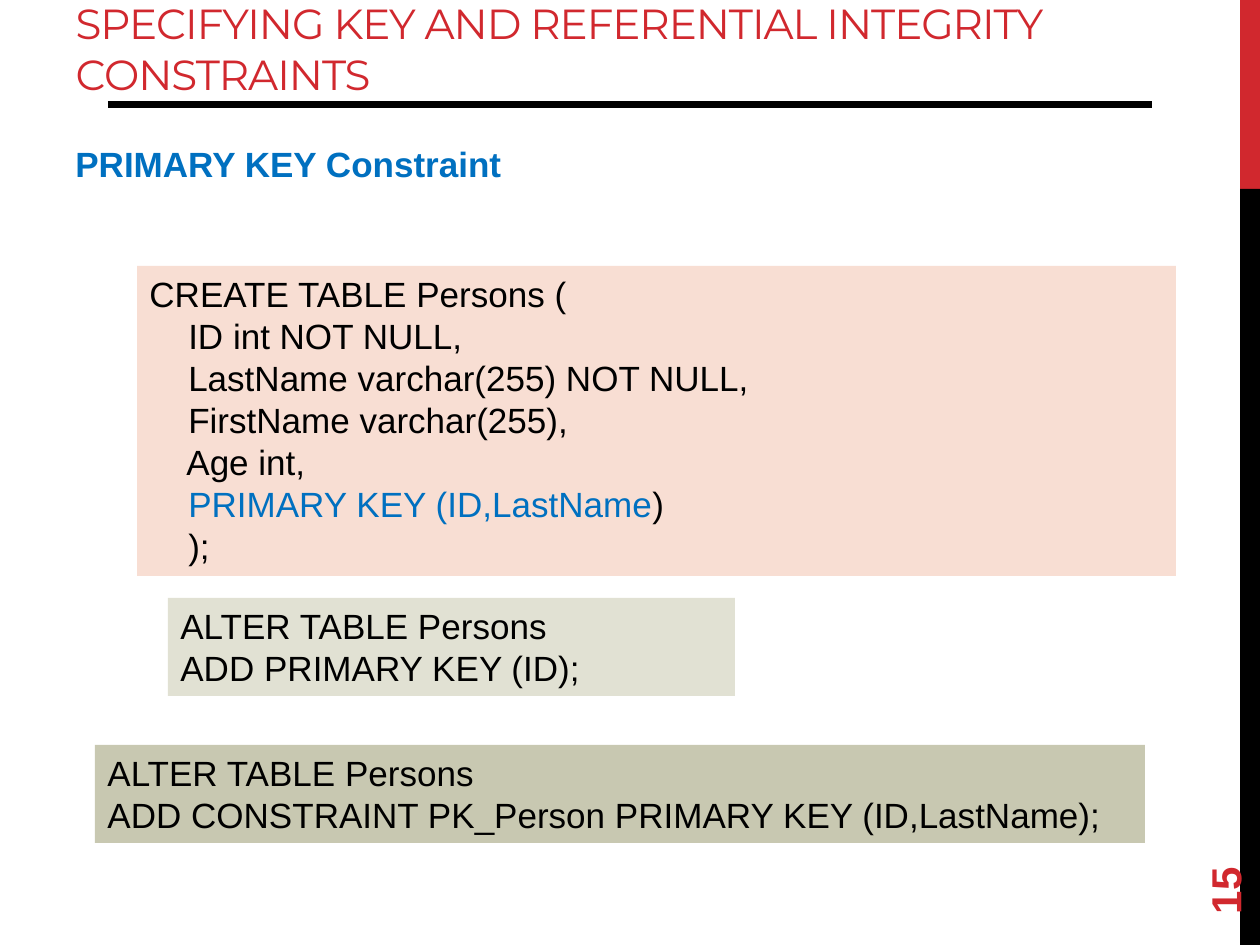
import pptx
import pptx.dml.color
import pptx.enum.shapes
import pptx.enum.text
import pptx.util
from lxml import etree

EMU_PER_PX = 914400 / 126
TITLE_ONLY = 5

COLORS = {
    "red": "D1282E",
    "black": "000000",
    "blue": "0070C0",
    "peach": "F8DED3",
    "light_sage": "E1E1D3",
    "sage": "C8C8B1",
}

TITLE = {"size": 24, "name": "Montserrat", "color": "red"}
HEADING = {"size": 20, "name": "Arial", "color": "blue", "bold": True}
NUMBER = {"size": 24, "name": "Arial", "color": "red", "bold": True}
CODE = {"size": 20, "name": "Arial", "color": "black"}
KEY_CODE = {**CODE, "color": "blue"}

# Code boxes: left, top, width, height, fill, lines made of (text, format) runs
CODE_BOXES = [
    (137, 266, 1039, 310, "peach", [
        [("CREATE TABLE Persons (", CODE)],
        [("    ID int NOT NULL,", CODE)],
        [("    LastName varchar(255) NOT NULL,", CODE)],
        [("    FirstName varchar(255),", CODE)],
        [("    Age int,", CODE)],
        [("    PRIMARY KEY (ID,LastName", KEY_CODE), (")", CODE)],
        [("    );", CODE)],
    ]),
    (168, 598, 567, 98, "light_sage", [
        [("ALTER TABLE Persons", CODE)],
        [("ADD PRIMARY KEY (ID);", CODE)],
    ]),
    (95, 745, 1050, 98, "sage", [
        [("ALTER TABLE Persons", CODE)],
        [("ADD CONSTRAINT PK_Person PRIMARY KEY (ID,LastName);", CODE)],
    ]),
]


def px(length):
    return pptx.util.Emu(round(length * EMU_PER_PX))


def rgb(name):
    return pptx.dml.color.RGBColor.from_string(COLORS[name])


def format_font(font, values):
    for key, value in values.items():
        if key == "color":
            font.color.rgb = rgb(value)
        else:
            setattr(font, key, pptx.util.Pt(value) if key == "size" else value)


def write_lines(frame, lines, anchor=pptx.enum.text.MSO_ANCHOR.TOP):
    frame.word_wrap = True
    frame.vertical_anchor = anchor
    for index, runs in enumerate(lines):
        line = frame.paragraphs[0] if index == 0 else frame.add_paragraph()
        line.alignment = pptx.enum.text.PP_ALIGN.LEFT
        for text, values in runs:
            run = line.add_run()
            run.text = text
            format_font(run.font, values)


def add_title(slide, left, top, width, height, text):
    title = slide.shapes.title
    places = {"left": left, "top": top, "width": width, "height": height}
    for side, length in places.items():
        setattr(title, side, px(length))
    title.text_frame.auto_size = pptx.enum.text.MSO_AUTO_SIZE.NONE
    write_lines(title.text_frame, [[(text, TITLE)]],
                pptx.enum.text.MSO_ANCHOR.BOTTOM)
    # Slightly tightened letter spacing, in hundredths of a point
    title.text_frame.paragraphs[0].runs[0].font._element.set("spc", "-60")


def add_rectangle(slide, left, top, width, height, fill):
    rectangle = slide.shapes.add_shape(
        pptx.enum.shapes.MSO_SHAPE.RECTANGLE,
        px(left), px(top), px(width), px(height))
    rectangle.shadow.inherit = False
    rectangle.fill.solid()
    rectangle.fill.fore_color.rgb = rgb(fill)
    rectangle.line.fill.background()
    return rectangle


def add_rule(slide, left, right, y):
    rule = slide.shapes.add_connector(
        pptx.enum.shapes.MSO_CONNECTOR.STRAIGHT,
        px(left), px(y), px(right), px(y))
    rule.line.color.rgb = rgb("black")
    rule.line.width = pptx.util.Pt(4)
    etree.SubElement(rule._element.spPr, pptx.oxml.ns.qn("a:effectLst"))


def add_label(slide, left, top, width, height, text, values,
              anchor=pptx.enum.text.MSO_ANCHOR.TOP, rotation=0):
    label = slide.shapes.add_textbox(px(left), px(top), px(width), px(height))
    label.rotation = rotation
    write_lines(label.text_frame, [[(text, values)]], anchor)


def main():
    deck = pptx.Presentation()
    deck.slide_width, deck.slide_height = px(1260), px(945)
    slide = deck.slides.add_slide(deck.slide_layouts[TITLE_ONLY])

    # Side band and rule under the title
    add_rectangle(slide, 1240, 0, 20, 189, "red")
    add_rectangle(slide, 1240, 189, 20, 756, "black")
    add_rule(slide, 108, 1152, 105)

    # Title, heading and slide number
    add_title(slide, 63, 21, 1176, 84,
              "SPECIFYING KEY AND REFERENTIAL INTEGRITY CONSTRAINTS")
    add_label(slide, 63, 136, 1134, 60, "PRIMARY KEY Constraint", HEADING)
    add_label(slide, 1134, 811, 181, 50, "15", NUMBER,
              pptx.enum.text.MSO_ANCHOR.MIDDLE, rotation=270)

    # SQL statements
    for left, top, width, height, fill, lines in CODE_BOXES:
        box = add_rectangle(slide, left, top, width, height, fill)
        write_lines(box.text_frame, lines)

    deck.save("out.pptx")


if __name__ == "__main__":
    main()
